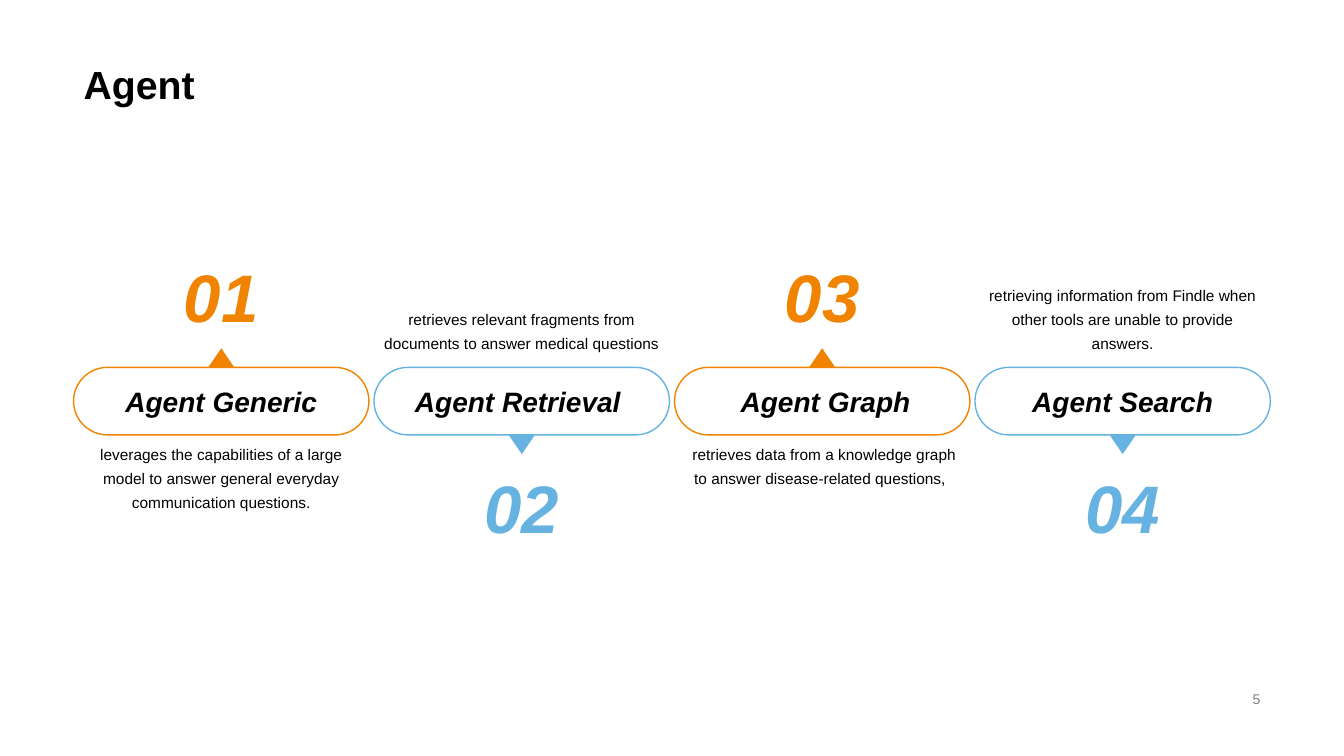
"""Build the Agent slide: four agent types in alternating orange and blue."""
from pptx import Presentation, util as u
from pptx.dml.color import RGBColor
from pptx.enum import shapes, text

ORANGE, BLUE, BLACK, GREY, WHITE = "F08300", "66B3E1", "000000", "808080", "FFFFFF"
MID, TOP, BOTTOM = text.MSO_ANCHOR.MIDDLE, text.MSO_ANCHOR.TOP, text.MSO_ANCHOR.BOTTOM
CENTER, LEFT, RIGHT = text.PP_ALIGN.CENTER, text.PP_ALIGN.LEFT, text.PP_ALIGN.RIGHT

AGENTS = [
    ("Agent Generic", "leverages the capabilities of a large model to answer general "
     "everyday communication questions."),
    ("Agent Retrieval ", "retrieves relevant fragments from documents to answer "
     "medical questions"),
    (" Agent Graph", " retrieves data from a knowledge graph to answer "
     "disease-related questions, "),
    ("Agent Search", "retrieving information from Findle when other tools are "
     "unable to provide answers."),
]
FIRST_LEFT, PITCH, WIDTH = 0.73, 2.98, 2.93
PILL_TOP, PILL_H = 3.645, 0.67
POINTER_W, POINTER_H = 0.26, 0.19
NUMBER_W, NUMBER_H = 0.95, 0.91
NOTE_H = 1.63


def rgb(value):
    return RGBColor.from_string(value)


class Deck:
    def __init__(self, prs, font="Arial"):
        self.font = font
        self.slide = prs.slides.add_slide(prs.slide_layouts[5])

    def set_text(self, sp, words, size, color=BLACK, bold=False, italic=False,
                 align=CENTER, anchor=MID, spacing=1.0):
        tf = sp.text_frame
        tf.text = words
        tf.word_wrap = True
        tf.auto_size = text.MSO_AUTO_SIZE.NONE
        tf.vertical_anchor = anchor
        p = tf.paragraphs[0]
        p.alignment, p.line_spacing = align, spacing
        f = p.runs[0].font
        f.name, f.size, f.bold, f.italic = self.font, u.Pt(size), bold, italic
        f.color.rgb = rgb(color)
        return tf

    def title(self, words, *box):
        sp = self.slide.shapes.title
        sp.left, sp.top, sp.width, sp.height = map(u.Inches, box)
        self.set_text(sp, words, 28, bold=True, align=LEFT, anchor=BOTTOM, spacing=0.9)

    def label(self, words, box, size, **style):
        sp = self.slide.shapes.add_textbox(*map(u.Inches, box))
        return self.set_text(sp, words, size, **style)

    def shape(self, kind, box, fill, line=None):
        sp = self.slide.shapes.add_shape(kind, *map(u.Inches, box))
        sp.shadow.inherit = False
        sp.fill.solid()
        sp.fill.fore_color.rgb = rgb(fill)
        if line:
            sp.line.color.rgb = rgb(line)
            sp.line.width = u.Pt(1)
        else:
            sp.line.fill.background()
        return sp

    def pointer(self, box, color, down):
        sp = self.shape(shapes.MSO_SHAPE.ISOSCELES_TRIANGLE, box, color)
        sp.rotation = 180 if down else 0

    def pill(self, words, box, color):
        sp = self.shape(shapes.MSO_SHAPE.ROUNDED_RECTANGLE, box, WHITE, color)
        sp.adjustments[0] = 0.5
        self.set_text(sp, words, 20, bold=True, italic=True)

    def agent(self, i, name, note):
        down = i % 2 == 1
        color = BLUE if down else ORANGE
        left = FIRST_LEFT + i * PITCH
        pill_bottom = PILL_TOP + PILL_H
        pointer_top = pill_bottom if down else PILL_TOP - POINTER_H
        number_top = 4.57 if down else 2.48
        note_top = PILL_TOP - NOTE_H if down else pill_bottom
        self.pointer((left + (WIDTH - POINTER_W) / 2, pointer_top, POINTER_W, POINTER_H),
                     color, down)
        self.pill(name, (left, PILL_TOP, WIDTH, PILL_H), color)
        self.label(f"{i + 1:02}", (left + (WIDTH - NUMBER_W) / 2, number_top,
                                   NUMBER_W, NUMBER_H),
                   48, color=color, bold=True, italic=True)
        tf = self.label(note, (left, note_top, WIDTH, NOTE_H), 11,
                        anchor=BOTTOM if down else TOP, spacing=1.3)
        if down:
            tf.margin_bottom = u.Inches(0.15)


def main():
    prs = Presentation()
    prs.slide_width, prs.slide_height = u.Inches(13.33), u.Inches(7.5)
    deck = Deck(prs)
    deck.title("Agent", 0.73, 0, 11.87, 1.12)
    for i, (name, note) in enumerate(AGENTS):
        deck.agent(i, name, note)
    deck.label("5", (9.42, 6.82, 3.18, 0.23), 10, color=GREY, align=RIGHT)
    prs.save("out.pptx")


if __name__ == "__main__":
    main()
